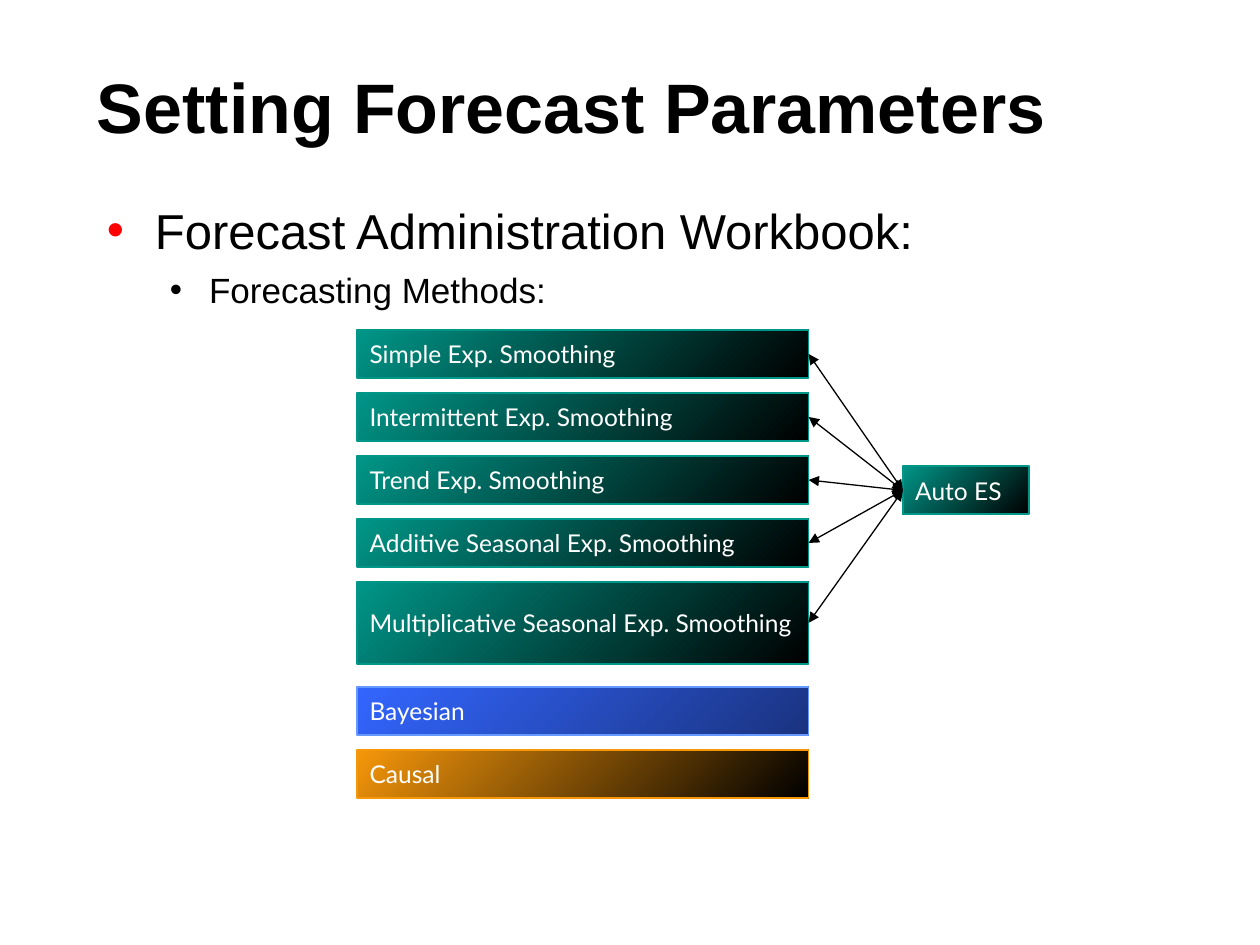
import pptx
import pptx.util
import pptx.dml.color
import pptx.enum.shapes
import pptx.enum.text
import pptx.oxml
import pptx.oxml.ns

Cm, Pt = pptx.util.Cm, pptx.util.Pt
ENUM = pptx.enum.text
TITLE = "Setting Forecast Parameters"
BODY = [
    ("Forecast Administration Workbook:", 0, 28, 0, 0.97, 0.97, "FF0000"),
    ("Forecasting Methods:", 1, 20, 5.6, 2.06, 0.79, "000000"),
]
TEAL = ("009688", "000000", "009688")
BLUE = ("3366FF", "1A3380", "6699FF")
GOLD = ("F6970A", "000000", "F6970A")
SMOOTH = ["Simple Exp. Smoothing", "Intermittent Exp. Smoothing",
          "Trend Exp. Smoothing", "Additive Seasonal Exp. Smoothing",
          "Multiplicative Seasonal Exp. Smoothing"]
OTHER = [("Bayesian", BLUE), ("Causal", GOLD)]
LEFT, WIDE, HIGH, TALL, STEP = 7.2, 9.1, 0.97, 1.65, 1.27
TOP, LOW = 6.65, 13.85


def shade(hue):
    return pptx.dml.color.RGBColor.from_string(hue)


def style(font, hue, **look):
    for name, value in look.items():
        setattr(font, name, value)
    font.color.rgb = shade(hue)


def place(item, *box):
    for name, value in zip(("left", "top", "width", "height"), box):
        setattr(item, name, Cm(value))


def add(parent, tag, **attrs):
    node = pptx.oxml.parse_xml(f'<a:{tag} {pptx.oxml.ns.nsdecls("a")}/>')
    for name, value in attrs.items():
        node.set(name, value)
    parent.append(node)
    return node


def bar(text, hues, *box):
    rect = slide.shapes.add_shape(
        pptx.enum.shapes.MSO_SHAPE.RECTANGLE, *map(Cm, box))
    rect.shadow.inherit = False
    rect.fill.gradient()
    rect.fill.gradient_angle = 315
    for stop, hue in zip(rect.fill.gradient_stops, hues):
        stop.color.rgb = shade(hue)
    rect.line.color.rgb = shade(hues[2])
    rect.line.width = Pt(1)
    frame = rect.text_frame
    frame.word_wrap = False
    frame.vertical_anchor = ENUM.MSO_ANCHOR.MIDDLE
    para = frame.paragraphs[0]
    para.text = text
    para.alignment = ENUM.PP_ALIGN.LEFT
    style(para.font, "FFFFFF", name="Lato", size=Pt(14))
    return rect


def link(start, end):
    line = slide.shapes.add_connector(
        pptx.enum.shapes.MSO_CONNECTOR.STRAIGHT, 0, 0, 0, 0)
    line.begin_connect(start, 1)
    line.end_connect(end, 3)
    line.line.color.rgb = shade("000000")
    line.line.width = Pt(0.75)
    edge = line.line._get_or_add_ln()
    for tag in ("headEnd", "tailEnd"):
        add(edge, tag, type="triangle")
    add(line._element.spPr, "effectLst")


deck = pptx.Presentation()
deck.slide_width, deck.slide_height = Cm(25.4), Cm(19.05)
slide = deck.slides.add_slide(deck.slide_layouts[1])

head = slide.shapes.title
place(head, 1.7, 1.27, 22.23, 1.7)
head.text_frame.text = TITLE
head.text_frame.auto_size = ENUM.MSO_AUTO_SIZE.NONE
head.text_frame.vertical_anchor = ENUM.MSO_ANCHOR.MIDDLE
para = head.text_frame.paragraphs[0]
para.alignment = ENUM.PP_ALIGN.LEFT
style(para.font, "000000", name="Arial", size=Pt(40), bold=True)

body = slide.placeholders[1]
place(body, 1.9, 3.91, 21.6, 7.6)
frame = body.text_frame
frame.auto_size = ENUM.MSO_AUTO_SIZE.NONE
frame.text = "\n".join(row[0] for row in BODY)
for para, (_, level, size, gap, inset, hang, hue) in zip(frame.paragraphs, BODY):
    para.level = level
    para.space_before = Pt(gap)
    props = para._p.get_or_add_pPr()
    props.set("marL", str(Cm(inset)))
    props.set("indent", str(-Cm(hang)))
    add(add(props, "buClr"), "srgbClr", val=hue)
    add(props, "buFont", typeface="Arial")
    add(props, "buChar", char="•")
    style(para.font, "000000", name="Arial", size=Pt(size))

bars = [bar(text, TEAL, LEFT, TOP + i * STEP, WIDE,
            TALL if text == SMOOTH[-1] else HIGH)
        for i, text in enumerate(SMOOTH)]
for i, (text, hues) in enumerate(OTHER):
    bar(text, hues, LEFT, LOW + i * STEP, WIDE, HIGH)
auto = bar("Auto ES", TEAL, 18.2, 9.4, 2.54, HIGH)
for item in bars:
    link(auto, item)

deck.save("out.pptx")
